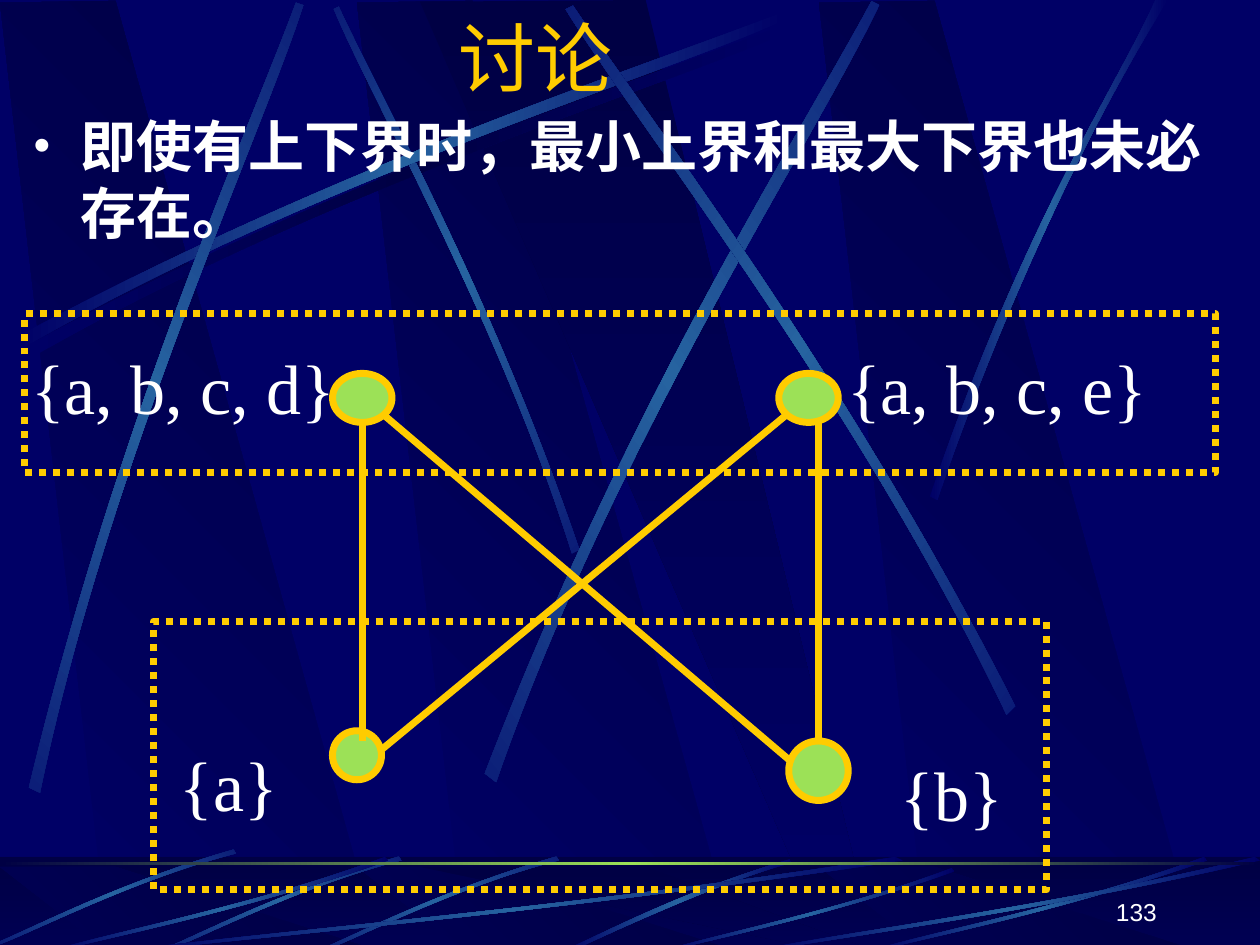
"""Builds the discussion slide on least upper and greatest lower bounds."""
import math
from copy import deepcopy

from lxml import etree
from pptx import Presentation
from pptx.dml.color import RGBColor
from pptx.enum import dml, shapes, text as txt
from pptx.oxml import ns
from pptx.util import Pt

NAVY = RGBColor(0x00, 0x00, 0x66)
MIDNIGHT = RGBColor(0x00, 0x00, 0x44)
STEEL = RGBColor(0x26, 0x63, 0xA0)
LIME = RGBColor(0x9C, 0xE1, 0x57)
GOLD = RGBColor(0xFF, 0xCC, 0x00)
WHITE = RGBColor(0xFF, 0xFF, 0xFF)
GLOW = (NAVY, STEEL, NAVY)
FLOOR, BOTTOM = 489.6, 543.6

deck = Presentation()
deck.slide_width, deck.slide_height = Pt(720), Pt(540)
master = deck.slide_master
master.background.fill.solid()
master.background.fill.fore_color.rgb = NAVY
slide = deck.slides.add_slide(deck.slide_layouts[1])
scenery = slide.shapes.add_group_shape()


def add_backdrop(outline, colours, angle=0, turn=0, pivot=(0, 0)):
    """Adds a gradient rectangle (2 points), polygon (4) or curved ray (8)."""
    if len(outline) == 2:
        (left, top), (right, bottom) = outline
        part = scenery.shapes.add_shape(shapes.MSO_SHAPE.RECTANGLE, Pt(left), Pt(top),
                                        Pt(right - left), Pt(bottom - top))
    else:
        cos, sin = math.cos(math.radians(turn)), math.sin(math.radians(turn))
        px, py = pivot
        corners = [(Pt(px + (x - px) * cos + (y - py) * sin),
                    Pt(py + (y - py) * cos - (x - px) * sin)) for x, y in outline]
        builder = scenery.shapes.build_freeform(*corners[0])
        builder.add_line_segments(corners[1:], close=True)
        part = builder.convert_to_shape()
        part.rotation = turn
    if len(outline) == 8:
        track = part.element.spPr.find(".//" + ns.qn("a:path"))
        sides = track.findall(ns.qn("a:lnTo"))
        for edge in (sides[:3], sides[4:7]):
            curve = etree.Element(ns.qn("a:cubicBezTo"))
            edge[0].addprevious(curve)
            for side in edge:
                curve.append(side[0])
                track.remove(side)
    part.shadow.inherit = False
    part.line.fill.background()
    part.fill.gradient()
    part.fill.gradient_angle = -angle % 360
    stops = part.element.spPr.find(".//" + ns.qn("a:gsLst"))
    if len(colours) == 3:
        stops.append(deepcopy(stops[0]))
    for i, (stop, colour) in enumerate(zip(part.fill.gradient_stops, colours)):
        stop.color.rgb = colour
        stop.position = i / (len(colours) - 1)
    return part


def write(holder, content, size, font, colour=WHITE, bold=False, align=None,
          anchor=txt.MSO_ANCHOR.MIDDLE, wrap=True):
    """Fills a shape with one formatted paragraph."""
    frame = holder.text_frame
    frame.text = content
    frame.word_wrap = wrap
    frame.auto_size = txt.MSO_AUTO_SIZE.NONE
    frame.vertical_anchor = anchor
    paragraph = frame.paragraphs[0]
    paragraph.alignment = align
    face = paragraph.runs[0].font
    face.size, face.name, face.bold = Pt(size), font, bold
    face.color.rgb = colour
    return paragraph


for left in (204, 0, 468):
    add_backdrop([(left + 62, 541), (left + 217, 542), (left + 66, 0.5), (left, 1.5)],
                 (NAVY, MIDNIGHT), 315)
add_backdrop([(240, 1), (474, 541), (500, 541), (369, 0)], (MIDNIGHT, NAVY), 90)

sweep = [(14.4, 198), (204.5, 96.5), (377.3, 42.5), (450.7, 13),
         (452.9, 17.3), (380.2, 49.7), (182.9, 108.7), (16.6, 205.2)]
add_backdrop(sweep, (NAVY, MIDNIGHT, NAVY))
rays = [
    (45, (260.6, 160.2),
     [(331.2, 313.9), (281.5, 168.5), (217.4, 55.4), (193.7, 3.6),
      (190.8, 5), (212.4, 56.9), (286.6, 185.8), (326.9, 316.1)]),
    (0, (0, 0), [(x - 4.3, y - 5.8) for x, y in sweep]),
    (311.7, (95.8, 227.2),
     [(16.6, 450), (67, 240.5), (141.8, 75.6), (169.2, 1.4),
      (173.5, 2.9), (149, 78.5), (61.9, 265), (23, 452.9)]),
    (321.6, (391, 223.6),
     [(277.2, 442.1), (358.6, 230.4), (459.4, 73.4), (498.2, 0.7),
      (502.6, 2.9), (467.3, 77.8), (349.9, 255.6), (283.7, 447.1)]),
    (34.7, (451.4, 205.6),
     [(580.3, 403.2), (482.4, 211), (371.5, 68.4), (327.6, 2.9),
      (323.3, 5), (365, 72.7), (493.2, 234), (575.3, 408.2)]),
    (0, (0, 0),
     [(531.4, 283.7), (586.1, 124.6), (639.4, 47.5), (660.2, 0),
      (667.4, 0), (601.9, 104.4), (553.7, 231.8), (535.7, 285.8)]),
]
for turn, pivot, outline in rays:
    add_backdrop(outline, GLOW, turn=turn, pivot=pivot)

add_backdrop([(0, FLOOR), (720, BOTTOM)], (MIDNIGHT, NAVY), 90)
for left in (204, 0, 468):
    add_backdrop([(left + 62, BOTTOM), (left + 217, BOTTOM), (left + 66, 495.4),
                  (left, 495.4)], (NAVY, MIDNIGHT), 315)
add_backdrop([(240, 495.4), (474, BOTTOM), (500, BOTTOM), (369, 495.4)],
             (MIDNIGHT, NAVY), 90)
veil = add_backdrop([(0, FLOOR), (720, BOTTOM)], (MIDNIGHT, MIDNIGHT))
veil.fill.solid()
veil.fill.fore_color.rgb = MIDNIGHT
tint = veil.element.spPr.find(ns.qn("a:solidFill"))[0]
etree.SubElement(tint, ns.qn("a:alpha"), val="50000")

add_backdrop([(451.4, 491), (386.6, 510.5), (343.4, 534.2), (322.6, 542.9),
              (326.2, 543.6), (352.8, 531.4), (411.1, 504), (452.2, 493.2)], GLOW)
arc = [(318.2, 489.6), (255.6, 507.6), (206.6, 532.8), (184.3, 542.2),
       (185, 543.6), (207.4, 535), (262.8, 506.2), (319.7, 491.8)]
for dx, dy in ((0, 0), (90, 0), (184.5, 4)):
    add_backdrop([(x - dx, y - dy) for x, y in arc], GLOW,
                 turn=315, pivot=(252 - dx, 516.6 - dy))
fan = [(1, 0.04), (0.57, 0.57), (0.17, 0.85), (0.01, 1),
       (0, 0.99), (0.16, 0.81), (0.61, 0.51), (0.99, 0)]
for left, top, width in ((72, FLOOR, 444), (30, FLOOR, 192), (379.5, 496, 166),
                         (498, FLOOR, 192), (432, FLOOR, 288)):
    add_backdrop([(left + x * width, top + y * (BOTTOM - top)) for x, y in fan], GLOW)
add_backdrop([(0, 492.4), (720, 494.2)], (MIDNIGHT, LIME, MIDNIGHT))
master.shapes.element.append(scenery.element)

heading, remark = slide.placeholders
for holder, box in ((heading, (0, 0, 612, 65)), (remark, (12, 60.2, 696, 420))):
    holder.left, holder.top, holder.width, holder.height = map(Pt, box)
write(heading, "讨论", 44, "Montserrat", GOLD, align=txt.PP_ALIGN.CENTER)
point = write(remark, "即使有上下界时，最小上界和最大下界也未必存在。", 32, "Arial",
              bold=True, anchor=txt.MSO_ANCHOR.TOP)
layout = point.runs[0].font._element.getparent().getparent().get_or_add_pPr()
etree.SubElement(layout, ns.qn("a:buSzPct"), val="85000")

for box in ((190, 417.6, 28, 28), (450.7, 423.4, 34, 34),
            (190, 213.4, 34, 28), (445, 213.4, 34, 28)):
    element = slide.shapes.add_shape(shapes.MSO_SHAPE.OVAL, *map(Pt, box))
    element.shadow.inherit = False
    element.fill.solid()
    element.fill.fore_color.rgb = LIME
    element.line.color.rgb = GOLD
    element.line.width = Pt(4)

for ends in ((206.9, 242, 206.9, 423.4), (218, 428.4, 450.7, 236),
             (467.8, 242, 467.8, 423.4), (218, 236, 450.7, 434)):
    relation = slide.shapes.add_connector(shapes.MSO_CONNECTOR.STRAIGHT, *map(Pt, ends))
    relation.line.color.rgb = GOLD
    relation.line.width = Pt(4)
    etree.SubElement(relation.element.spPr, ns.qn("a:effectLst"))

for members, left, top, width in (("{a, b, c, d}", 19.8, 185, 170),
                                  ("{a, b, c, e}", 485, 185, 170),
                                  ("{a}", 88.2, 411.8, 85), ("{b}", 501.5, 417.6, 85)):
    label = slide.shapes.add_textbox(Pt(left), Pt(top), Pt(width), Pt(72))
    write(label, members, 40, "Times New Roman", align=txt.PP_ALIGN.CENTER, wrap=False)

for box in ((87.8, 355, 510.5, 153.4), (14, 179.3, 680.6, 90.7)):
    bounds = slide.shapes.add_shape(shapes.MSO_SHAPE.RECTANGLE, *map(Pt, box))
    bounds.shadow.inherit = False
    bounds.fill.background()
    bounds.line.color.rgb = GOLD
    bounds.line.width = Pt(4)
    bounds.line.dash_style = dml.MSO_LINE.ROUND_DOT

page = slide.shapes.add_textbox(Pt(518.4), Pt(496.8), Pt(149.8), Pt(36))
write(page, "133", 14, "Arial", align=txt.PP_ALIGN.RIGHT, anchor=txt.MSO_ANCHOR.BOTTOM)

deck.save("out.pptx")
